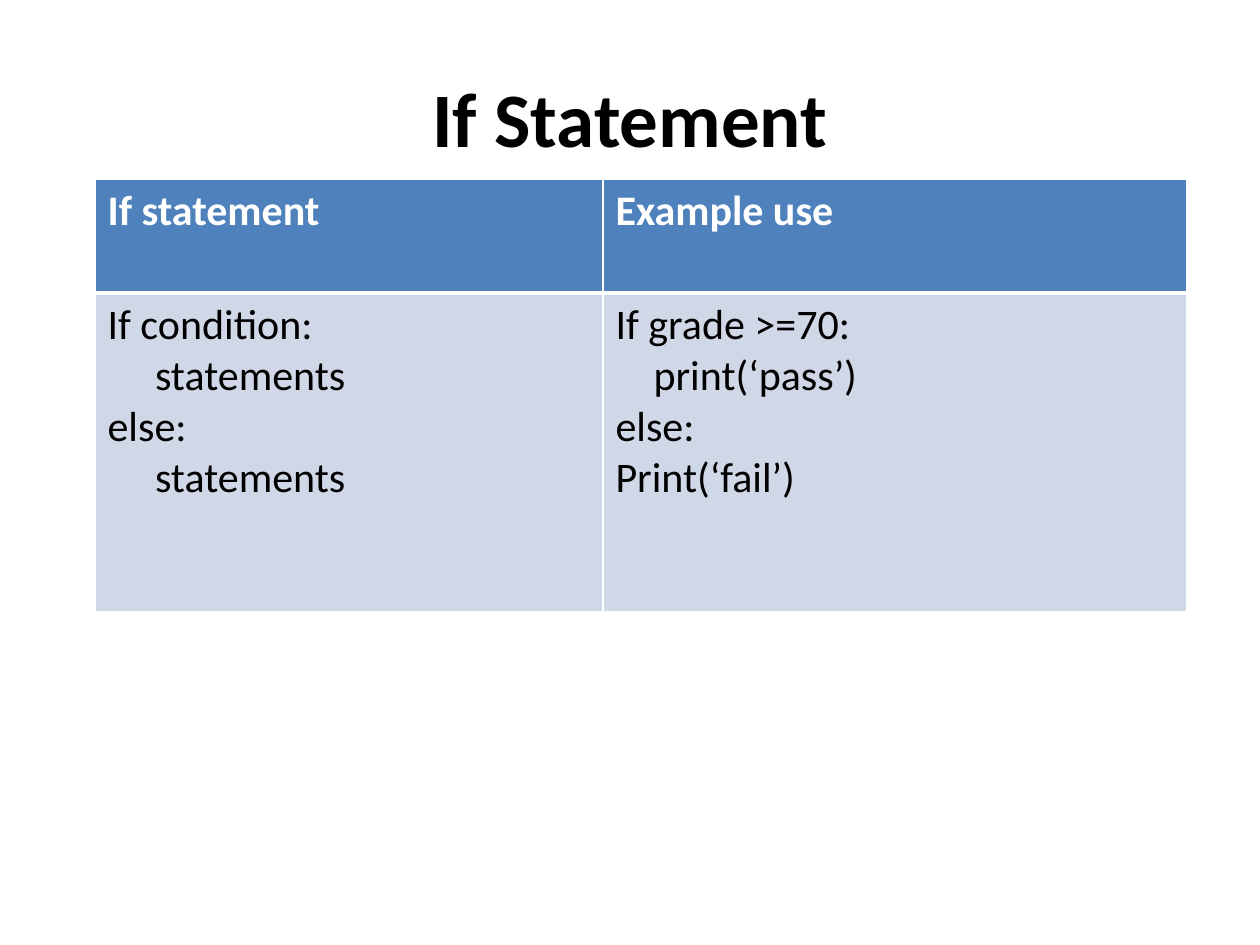
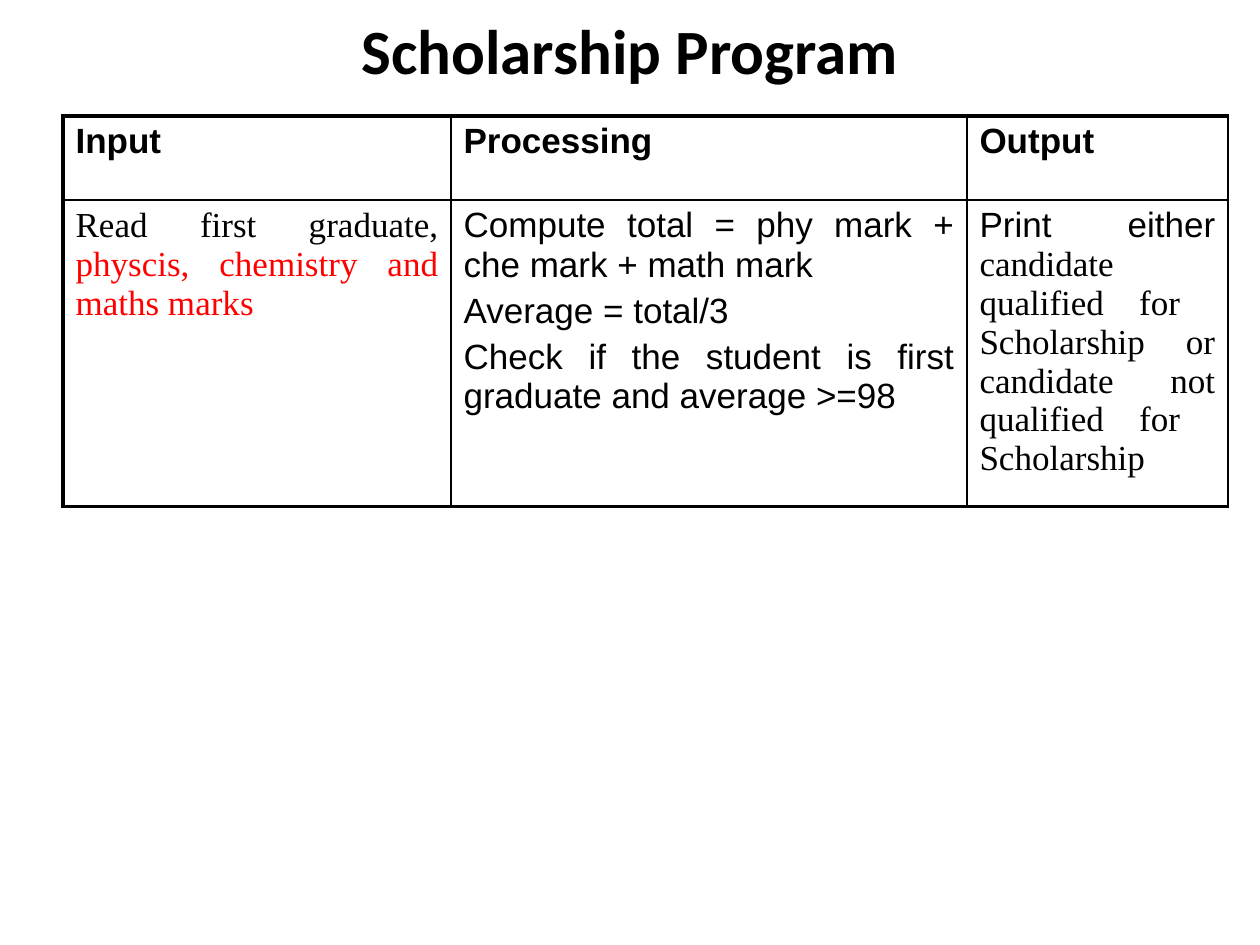
from dataclasses import dataclass

from lxml import etree
from pptx import Presentation, util as u
from pptx.dml.color import RGBColor
from pptx.enum import text
from pptx.oxml import ns

PX = u.Inches(1) / 126


def px(length: int) -> u.Emu:
    return u.Emu(round(length * PX))


@dataclass(frozen=True)
class Theme:
    black: str = "000000"
    white: str = "FFFFFF"
    red: str = "FF0000"
    blue: str = "4F81BD"
    pale_blue: str = "D0D8E8"
    body: str = "Calibri"
    sans: str = "Arial"
    serif: str = "Times New Roman"
    title_size: int = 44
    small_title_size: int = 36
    code_size: int = 24
    plan_size: int = 20


THEME = Theme()


@dataclass(frozen=True)
class Run:
    words: str
    font: str = THEME.body
    size: int = THEME.code_size
    color: str = THEME.black
    bold: bool = False


@dataclass(frozen=True)
class Box:
    left: int
    top: int
    width: int
    height: int


Paragraph = list[Run]
Cell = list[Paragraph]


@dataclass(frozen=True)
class Rules:
    """Line widths in points: outer edges, under the header, and elsewhere."""
    color: str
    left: float = 1
    top: float = 1
    bottom: float = 1
    header: float = 1
    inner: float = 1


@dataclass(frozen=True)
class Grid:
    left: int
    top: int
    columns: list[int]
    rows: list[int]
    cells: list[list[Cell]]
    rules: Rules
    fills: list[str | None]
    align: text.PP_ALIGN = text.PP_ALIGN.LEFT
    gap: int = 0


def write(paragraph, runs: Paragraph, align: text.PP_ALIGN) -> None:
    paragraph.alignment = align
    for item in runs:
        run = paragraph.add_run()
        run.text = item.words
        run.font.name = item.font
        run.font.size = u.Pt(item.size)
        run.font.bold = item.bold
        run.font.color.rgb = RGBColor.from_string(item.color)


def add_title(slide, words: str, box: Box, size: int) -> None:
    title = slide.shapes.add_textbox(px(box.left), px(box.top), px(box.width), px(box.height))
    frame = title.text_frame
    frame.word_wrap = True
    frame.vertical_anchor = text.MSO_ANCHOR.MIDDLE
    write(frame.paragraphs[0], [Run(words, size=size, bold=True)], text.PP_ALIGN.CENTER)


def set_borders(cell, widths: dict[str, float], color: str) -> None:
    properties = cell._tc.get_or_add_tcPr()
    for position, (edge, width) in enumerate(widths.items()):
        line = etree.Element(ns.qn(f"a:ln{edge}"), w=str(u.Pt(width)))
        fill = etree.SubElement(line, ns.qn("a:solidFill"))
        etree.SubElement(fill, ns.qn("a:srgbClr"), val=color)
        properties.insert(position, line)


def add_grid(slide, grid: Grid) -> None:
    table = slide.shapes.add_table(
        len(grid.rows), len(grid.columns), px(grid.left), px(grid.top),
        px(sum(grid.columns)), px(sum(grid.rows))).table
    table.horz_banding = False
    for column, width in zip(table.columns, grid.columns):
        column.width = px(width)
    rules = grid.rules
    for r, (height, fill) in enumerate(zip(grid.rows, grid.fills)):
        table.rows[r].height = px(height)
        for c, content in enumerate(grid.cells[r]):
            cell = table.cell(r, c)
            if fill:
                cell.fill.solid()
                cell.fill.fore_color.rgb = RGBColor.from_string(fill)
            else:
                cell.fill.background()
            set_borders(cell, {
                "L": rules.left if c == 0 else rules.inner,
                "R": rules.inner,
                "T": rules.top if r == 0 else rules.header,
                "B": rules.header if r == 0 else rules.bottom,
            }, rules.color)
            frame = cell.text_frame
            for i, runs in enumerate(content):
                paragraph = frame.add_paragraph() if i else frame.paragraphs[0]
                if i:
                    paragraph.space_before = u.Pt(grid.gap)
                write(paragraph, runs, grid.align)


def code(*lines: str) -> Cell:
    return [[Run(line)] for line in lines]


def sans(words: str, bold: bool = False) -> Run:
    return Run(words, THEME.sans, THEME.plan_size, bold=bold)


def serif(words: str, color: str = THEME.black) -> Run:
    return Run(words, THEME.serif, THEME.plan_size, color)


IF_STATEMENT = Grid(
    left=95, top=179, columns=[508, 584], rows=[114, 319],
    cells=[
        [[[Run(heading, color=THEME.white, bold=True)]]
         for heading in ("If statement", "Example use")],
        [code("If condition:", "     statements", "else:", "     statements"),
         code("If grade >=70:", "    print(‘pass’)", "else:", "Print(‘fail’)")],
    ],
    rules=Rules(THEME.white, header=3),
    fills=[THEME.blue, THEME.pale_blue],
)

SCHOLARSHIP = Grid(
    left=63, top=116, columns=[388, 516, 261], rows=[84, 285],
    cells=[
        [[[sans(heading, bold=True)]] for heading in ("Input", "Processing", "Output")],
        [
            [[serif("Read first graduate, "),
              serif("physcis, chemistry and maths marks", THEME.red)]],
            [[sans("Compute total = phy mark + che mark + math mark")],
             [sans("Average = total/3")],
             [sans("Check if the student is first graduate and average >=98")]],
            [[sans("Print either "),
              serif("candidate qualified for  Scholarship or candidate  not "
                    "qualified for  Scholarship")]],
        ],
    ],
    rules=Rules(THEME.black, left=2.25, top=2.25, bottom=2.25),
    fills=[None, None],
    align=text.PP_ALIGN.JUSTIFY,
    gap=4,
)


def main() -> None:
    deck = Presentation()
    deck.slide_width, deck.slide_height = px(1260), px(945)
    blank = deck.slide_layouts[6]
    for words, box, size, grid in (
        ("If Statement", Box(63, 38, 1134, 158), THEME.title_size, IF_STATEMENT),
        ("Scholarship Program", Box(63, 9, 1134, 81), THEME.small_title_size, SCHOLARSHIP),
    ):
        slide = deck.slides.add_slide(blank)
        add_title(slide, words, box, size)
        add_grid(slide, grid)
    deck.save("out.pptx")


if __name__ == "__main__":
    main()
